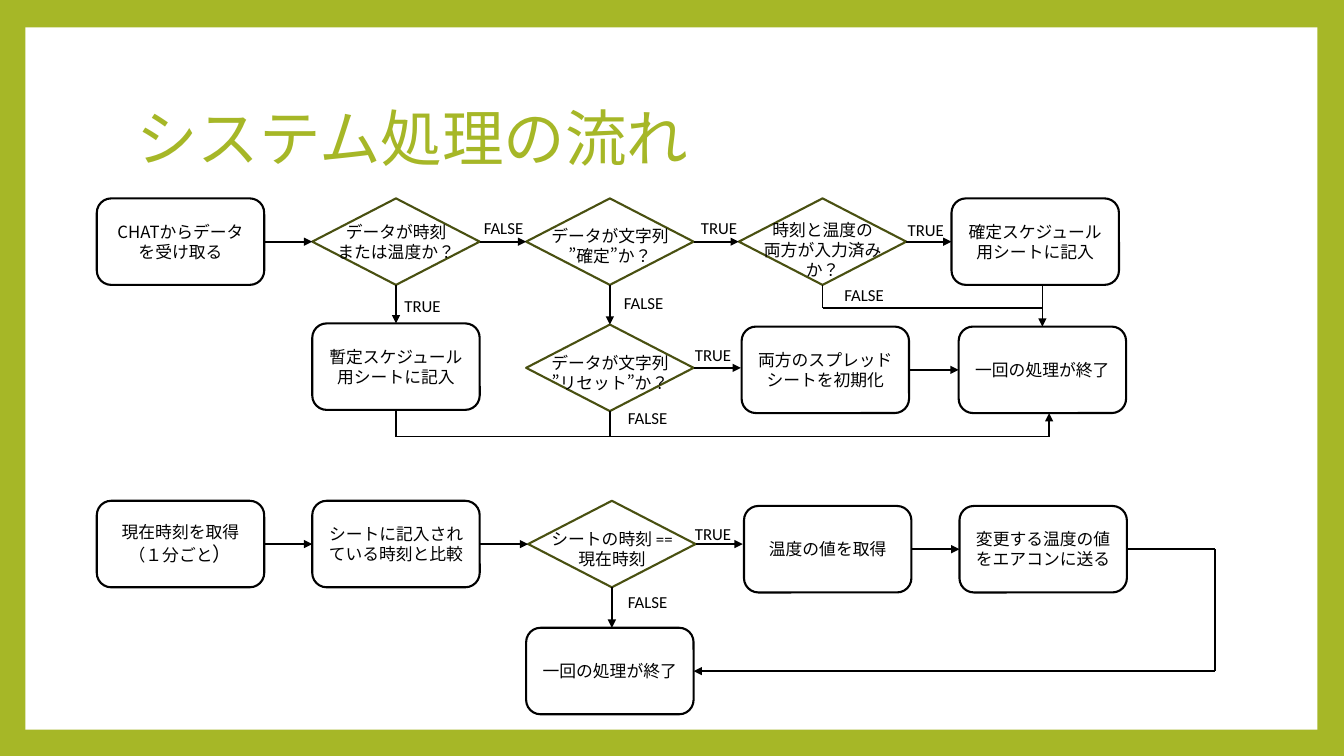
from dataclasses import dataclass
from typing import NamedTuple, Union

from lxml import etree
from pptx import Presentation
from pptx.dml.color import RGBColor
from pptx.enum.lang import MSO_LANGUAGE_ID
from pptx.enum.shapes import MSO_CONNECTOR, MSO_SHAPE
from pptx.enum.text import MSO_ANCHOR, MSO_AUTO_SIZE, PP_ALIGN
from pptx.oxml.ns import qn
from pptx.util import Cm, Pt

STRAIGHT = MSO_CONNECTOR.STRAIGHT
PROCESS = MSO_SHAPE.FLOWCHART_ALTERNATE_PROCESS
DECISION = MSO_SHAPE.FLOWCHART_DECISION
RECTANGLE = MSO_SHAPE.RECTANGLE
MIDDLE = MSO_ANCHOR.MIDDLE
CENTER = PP_ALIGN.CENTER
GROW = MSO_AUTO_SIZE.SHAPE_TO_FIT_TEXT
JAPANESE = MSO_LANGUAGE_ID.JAPANESE
TOP, LEFT, BOTTOM, RIGHT = range(4)

NODE_WIDTH, NODE_HEIGHT = 4.22, 2.18
QUESTION_WIDTH, QUESTION_HEIGHT, QUESTION_INDENT = 3.63, 1.27, 0.3
BRANCH_WIDTH, BRANCH_HEIGHT = 1.8, 0.76


@dataclass(frozen=True)
class Theme:
    green: RGBColor = RGBColor(0xA6, 0xB7, 0x27)
    olive: RGBColor = RGBColor(0x49, 0x50, 0x11)
    black: RGBColor = RGBColor(0, 0, 0)
    white: RGBColor = RGBColor(0xFF, 0xFF, 0xFF)
    latin: str = "Calibri"
    japanese: str = "Noto Sans CJK JP"
    title_size: int = 44
    body_size: int = 12
    large_size: int = 14
    outline: float = 1.5
    arrow: float = 1.25


THEME = Theme()


class Point(NamedTuple):
    x: float
    y: float


class Joint(NamedTuple):
    node: str
    side: int


End = Union[Point, Joint]


@dataclass(frozen=True)
class Step:
    name: str
    left: float
    top: float
    text: str
    large_ending: str = ""


@dataclass(frozen=True)
class Question:
    name: str
    left: float
    top: float
    text: str
    drop: float


@dataclass(frozen=True)
class Branch:
    text: str
    left: float
    top: float


@dataclass(frozen=True)
class Link:
    start: End
    end: End
    arrow: bool = True


STEPS = [
    Step("receive", 2.44, 5.0, "CHATからデータを受け取る"),
    Step("write_final", 23.98, 5.0, "確定スケジュール用シートに記入"),
    Step("write_draft", 7.87, 8.15, "暫定スケジュール用シートに記入"),
    Step("initialise", 18.69, 8.23, "両方のスプレッドシートを初期化"),
    Step("input_done", 24.16, 8.23, "一回の処理が終了"),
    Step("get_time", 2.44, 12.62, "現在時刻を取得\n（１分ごと", "）"),
    Step("compare", 7.87, 12.62, "シートに記入されている時刻と比較"),
    Step("get_temperature", 18.75, 12.75, "温度の値を取得"),
    Step("send", 24.18, 12.75, "変更する温度の値をエアコンに送る"),
    Step("timer_done", 13.26, 15.82, "一回の処理が終了"),
]
QUESTIONS = [
    Question("is_value", 7.87, 5.0, "データが時刻\nまたは温度か？", 0.46),
    Question("is_confirm", 13.26, 5.0, "データが文字列\n”確定”か？", 0.56),
    Question("is_complete", 18.62, 5.0, "時刻と温度の\n両方が入力済みか？", 0.41),
    Question("is_reset", 13.26, 8.18, "データが文字列\n”リセット”か？", 0.58),
    Question("is_now", 13.31, 12.62, "シートの時刻 ==現在時刻", 0.58),
]
BRANCHES = [
    Branch("FALSE", 11.79, 5.36),
    Branch("TRUE", 17.22, 5.36),
    Branch("TRUE", 22.43, 5.41),
    Branch("TRUE", 9.75, 7.32),
    Branch("FALSE", 15.32, 7.24),
    Branch("FALSE", 20.88, 7.04),
    Branch("TRUE", 17.07, 8.56),
    Branch("FALSE", 15.42, 10.16),
    Branch("TRUE", 17.07, 13.08),
    Branch("FALSE", 15.42, 14.78),
]
LINKS = [
    Link(Joint("receive", RIGHT), Joint("is_value", LEFT)),
    Link(Joint("is_value", RIGHT), Joint("is_confirm", LEFT)),
    Link(Joint("is_confirm", RIGHT), Joint("is_complete", LEFT)),
    Link(Joint("is_complete", RIGHT), Joint("write_final", LEFT)),
    Link(Joint("is_value", BOTTOM), Joint("write_draft", TOP)),
    Link(Joint("is_confirm", BOTTOM), Joint("is_reset", TOP)),
    Link(Joint("is_reset", RIGHT), Point(18.67, 9.27)),
    Link(Joint("initialise", RIGHT), Joint("input_done", LEFT)),
    Link(Joint("is_complete", BOTTOM), Point(20.73, 7.77), False),
    Link(Point(20.73, 7.77), Point(26.27, 7.77), False),
    Link(Point(26.27, 7.18), Point(26.27, 7.77), False),
    Link(Point(26.27, 7.77), Joint("input_done", TOP)),
    Link(Joint("write_draft", BOTTOM), Point(9.98, 11.0), False),
    Link(Point(9.98, 11.0), Point(21.06, 11.0), False),
    Link(Joint("is_reset", BOTTOM), Point(15.37, 11.0), False),
    Link(Point(15.37, 11.0), Point(26.44, 11.0), False),
    Link(Point(26.44, 11.0), Point(26.44, 10.41)),
    Link(Joint("get_time", RIGHT), Joint("compare", LEFT)),
    Link(Joint("compare", RIGHT), Joint("is_now", LEFT)),
    Link(Joint("is_now", RIGHT), Point(18.72, 13.71)),
    Link(Joint("get_temperature", RIGHT), Joint("send", LEFT)),
    Link(Joint("is_now", BOTTOM), Point(15.42, 15.82)),
    Link(Joint("send", RIGHT), Point(30.61, 13.84), False),
    Link(Point(30.61, 13.84), Point(30.61, 16.91), False),
    Link(Point(30.61, 16.91), Joint("timer_done", RIGHT)),
]


def format_span(span, size: int, font: str, color: RGBColor) -> None:
    span.font.size = Pt(size)
    span.font.name = font
    span.font.color.rgb = color
    span.font.language_id = JAPANESE
    etree.SubElement(span._r.get_or_add_rPr(), qn("a:ea"), typeface=THEME.japanese)


def write(box, text: str, font: str, size: int = THEME.body_size, color: RGBColor = THEME.black):
    box.text_frame.word_wrap = True
    para = box.text_frame.paragraphs[0]
    para.text = text
    para.alignment = CENTER
    for span in para.runs:
        format_span(span, size, font, color)
    for line_break in para._p.findall(qn("a:br")):
        etree.SubElement(line_break, qn("a:rPr"), sz=str(size * 100))
    return para


def add_label(page, text: str, left: float, top: float, width: float, height: float) -> None:
    box = page.shapes.add_textbox(Cm(left), Cm(top), Cm(width), Cm(height))
    write(box, text, THEME.latin)
    box.text_frame.auto_size = GROW


def add_node(page, kind, left: float, top: float, color: RGBColor):
    node = page.shapes.add_shape(kind, Cm(left), Cm(top), Cm(NODE_WIDTH), Cm(NODE_HEIGHT))
    node.shadow.inherit = False
    node.fill.background()
    node.line.color.rgb = color
    node.line.width = Pt(THEME.outline)
    return node


def add_step(page, step: Step):
    node = add_node(page, PROCESS, step.left, step.top, THEME.black)
    para = write(node, step.text, THEME.japanese)
    node.text_frame.vertical_anchor = MIDDLE
    if step.large_ending:
        span = para.add_run()
        span.text = step.large_ending
        format_span(span, THEME.large_size, THEME.japanese, THEME.black)
    return node


def add_question(page, question: Question):
    node = add_node(page, DECISION, question.left, question.top, THEME.olive)
    add_label(page, question.text, question.left + QUESTION_INDENT,
              question.top + question.drop, QUESTION_WIDTH, QUESTION_HEIGHT)
    return node


def add_link(page, link: Link, nodes: dict) -> None:
    start, end = [Point(0, 0) if isinstance(tip, Joint) else tip for tip in (link.start, link.end)]
    line = page.shapes.add_connector(STRAIGHT, Cm(start.x), Cm(start.y), Cm(end.x), Cm(end.y))
    for tip, connect in ((link.start, line.begin_connect), (link.end, line.end_connect)):
        if isinstance(tip, Joint):
            connect(nodes[tip.node], tip.side)
    line.line.color.rgb = THEME.black
    line.line.width = Pt(THEME.arrow)
    if link.arrow:
        etree.SubElement(line.line._get_or_add_ln(), qn("a:tailEnd"), type="triangle")
    etree.SubElement(line._element.spPr, qn("a:effectLst"))


def add_frame(page) -> None:
    page.background.fill.solid()
    page.background.fill.fore_color.rgb = THEME.green
    panel = page.shapes.add_shape(RECTANGLE, Cm(0.64), Cm(0.69), Cm(32.56), Cm(17.7))
    panel.shadow.inherit = False
    panel.fill.solid()
    panel.fill.fore_color.rgb = THEME.white
    panel.line.fill.background()
    title = page.shapes.add_textbox(Cm(3.18), Cm(1.7), Cm(27.43), Cm(3.76))
    para = write(title, "システム処理の流れ", THEME.latin, THEME.title_size, THEME.green)
    para.alignment = PP_ALIGN.LEFT
    para.line_spacing = 0.9
    title.text_frame.vertical_anchor = MIDDLE


def main() -> None:
    deck = Presentation()
    deck.slide_width, deck.slide_height = Cm(33.87), Cm(19.05)
    page = deck.slides.add_slide(deck.slide_layouts[6])
    add_frame(page)
    nodes = {step.name: add_step(page, step) for step in STEPS}
    nodes.update({question.name: add_question(page, question) for question in QUESTIONS})
    for link in LINKS:
        add_link(page, link, nodes)
    for branch in BRANCHES:
        add_label(page, branch.text, branch.left, branch.top, BRANCH_WIDTH, BRANCH_HEIGHT)
    deck.save("out.pptx")


if __name__ == "__main__":
    main()
